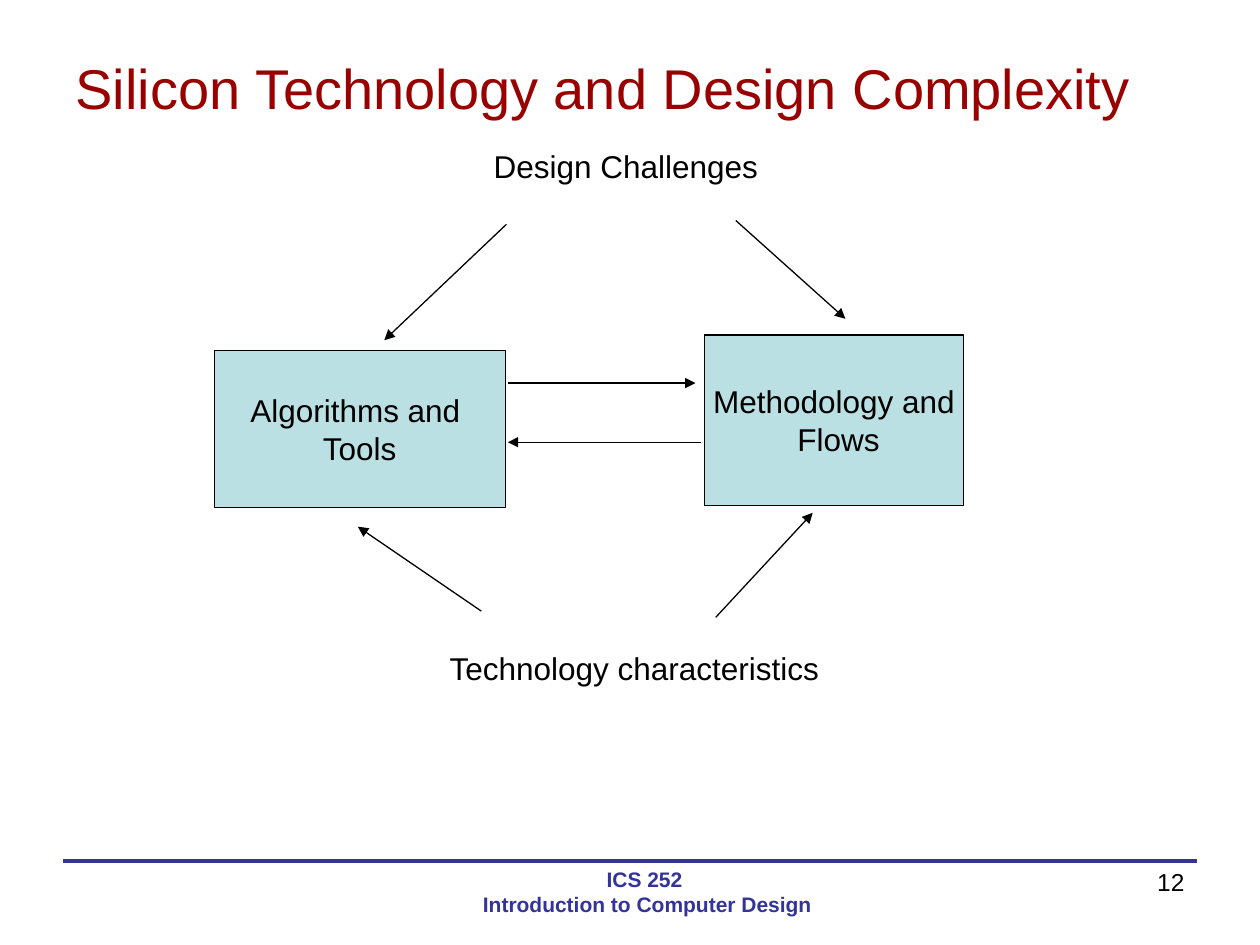
from dataclasses import dataclass
from typing import NamedTuple

from lxml.etree import SubElement
from pptx import Presentation
from pptx.dml.color import RGBColor
from pptx.enum.shapes import MSO_CONNECTOR as Connector, MSO_SHAPE as Shape
from pptx.enum.text import MSO_ANCHOR as Anchor, MSO_AUTO_SIZE as AutoSize, PP_ALIGN as Align
from pptx.oxml.ns import qn
from pptx.util import Inches, Pt


@dataclass(frozen=True)
class Theme:
    """Colours, font and type sizes of the slide."""
    font: str = "Arial"
    ink: RGBColor = RGBColor(0x00, 0x00, 0x00)
    heading: RGBColor = RGBColor(0x99, 0x00, 0x00)
    accent: RGBColor = RGBColor(0x33, 0x33, 0x99)
    block: RGBColor = RGBColor(0xBB, 0xE0, 0xE3)
    title_size: Pt = Pt(32)
    body_size: Pt = Pt(18)
    number_size: Pt = Pt(14)
    footer_size: Pt = Pt(12)
    thin: Pt = Pt(0.75)
    thick: Pt = Pt(2.25)


THEME = Theme()


class Box(NamedTuple):
    """A rectangle in inches."""
    left: float
    top: float
    width: float
    height: float

    def inner(self, left, top, width, height):
        """Return a box whose offset is measured from this one."""
        return Box(self.left + left, self.top + top, width, height)

    def lengths(self):
        """Return the four sides as lengths."""
        return [Inches(side) for side in self]


def write(frame, lines, size, color=THEME.ink, align=Align.LEFT, bold=False):
    """Fill a text frame with one formatted paragraph per line."""
    frame.text = "\n".join(lines)
    for paragraph in frame.paragraphs:
        paragraph.alignment = align
        font = paragraph.font
        font.name, font.size, font.bold = THEME.font, size, bold
        font.color.rgb = color


def add_label(slide, box, lines, size, wrap=True, **style):
    """Add a text box, which fits its text when it does not wrap."""
    frame = slide.shapes.add_textbox(*box.lengths()).text_frame
    frame.word_wrap = wrap
    frame.auto_size = AutoSize.NONE if wrap else AutoSize.SHAPE_TO_FIT_TEXT
    write(frame, lines, size, **style)


def add_block(slide, box, lines):
    """Add a filled rectangle with centred text."""
    block = slide.shapes.add_shape(Shape.RECTANGLE, *box.lengths())
    block.shadow.inherit = False
    block.fill.solid()
    block.fill.fore_color.rgb = THEME.block
    block.line.color.rgb = THEME.ink
    block.line.width = THEME.thin
    frame = block.text_frame
    frame.word_wrap = False
    frame.vertical_anchor = Anchor.MIDDLE
    write(frame, lines, THEME.body_size, align=Align.CENTER)


def add_line(slide, box, start, end, color=THEME.ink, width=THEME.thin, arrow=True):
    """Add a straight line between two points measured from the box."""
    points = [Inches(origin + offset) for point in (start, end)
              for origin, offset in zip(box[:2], point)]
    connector = slide.shapes.add_connector(Connector.STRAIGHT, *points)
    connector.line.color.rgb = color
    connector.line.width = width
    properties = connector._element.spPr
    if arrow:
        SubElement(properties.find(qn("a:ln")), qn("a:tailEnd"), type="triangle")
    SubElement(properties, qn("a:effectLst"))


def place_title(slide, box):
    """Move and format the title placeholder."""
    title = slide.shapes.title
    title.left, title.top, title.width, title.height = box.lengths()
    title.text_frame.vertical_anchor = Anchor.MIDDLE
    write(title.text_frame, ["Silicon Technology and Design Complexity"],
          THEME.title_size, THEME.heading)


def add_diagram(slide, box):
    """Draw the two blocks, their outer influences and the arrows."""
    blocks = (
        (box.inner(0, 1.66, 2.31, 1.25), ["Algorithms and ", "Tools"]),
        (box.inner(3.89, 1.54, 2.06, 1.35), ["Methodology and", " Flows"]),
    )
    for block_box, lines in blocks:
        add_block(slide, block_box, lines)

    influences = (
        (box.inner(2.12, 0, 2.3, 0.4), "Design Challenges"),
        (box.inner(1.77, 3.98, 3.16, 0.4), "Technology characteristics"),
    )
    for label_box, influence in influences:
        add_label(slide, label_box, [influence], THEME.body_size, wrap=False)

    arrows = (
        ((2.33, 1.92), (3.82, 1.92)),
        ((3.86, 2.39), (2.33, 2.39)),
        ((2.32, 0.66), (1.35, 1.58)),
        ((4.14, 0.63), (5.01, 1.41)),
        ((2.12, 3.73), (1.14, 3.06)),
        ((3.98, 3.78), (4.75, 2.95)),
    )
    for start, end in arrows:
        add_line(slide, box, start, end)


def add_footer(slide, box):
    """Draw the footer rule, the course name and the slide number."""
    add_line(slide, box, (0, 0), (box.width, 0), THEME.accent, THEME.thick, arrow=False)
    add_label(slide, box.inner(6.67, 0, 2.33, box.height), ["12"],
              THEME.number_size, align=Align.RIGHT)
    add_label(slide, box.inner(2.54, 0, 4.15, box.height),
              ["ICS 252", " Introduction to Computer Design"],
              THEME.footer_size, color=THEME.accent, align=Align.CENTER, bold=True)


def main():
    """Build and save the slide."""
    deck = Presentation()
    deck.slide_width, deck.slide_height = Inches(10), Inches(7.5)
    slide = deck.slides.add_slide(deck.slide_layouts[5])
    place_title(slide, Box(0.5, 0.3, 9, 0.78))
    add_diagram(slide, Box(1.7, 1.12, 5.95, 4.38))
    add_footer(slide, Box(0.5, 6.83, 9, 0.52))
    deck.save("out.pptx")


if __name__ == "__main__":
    main()
